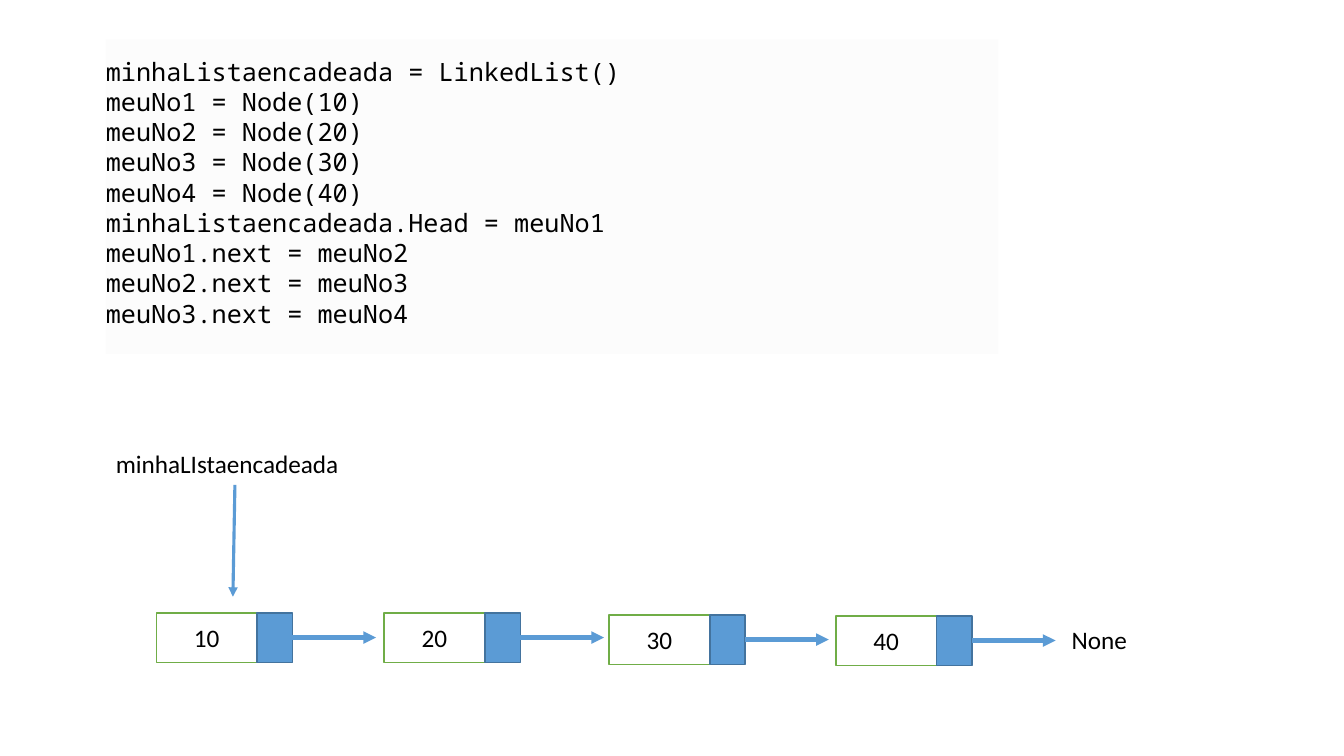
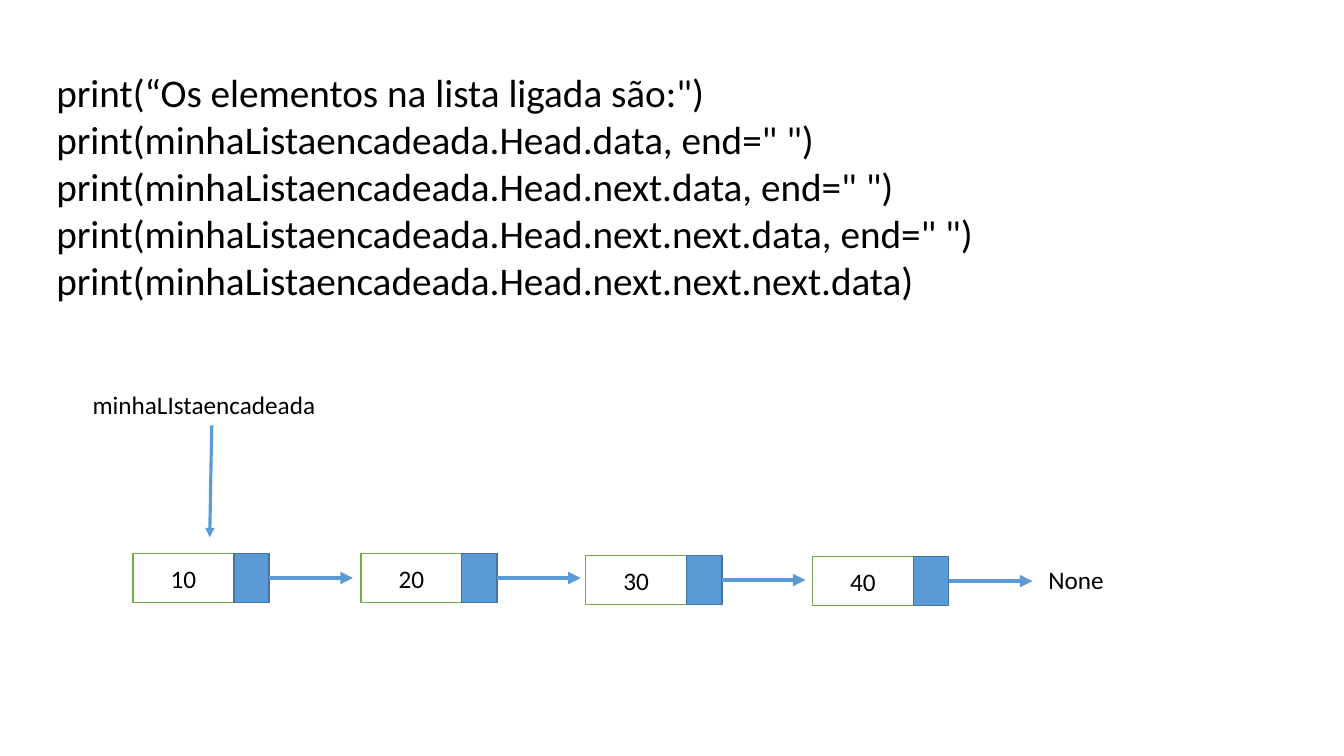
from dataclasses import dataclass

from lxml import etree
from pptx import Presentation
from pptx.dml.color import RGBColor
from pptx.enum import shapes, text
from pptx.oxml import ns
from pptx.util import Inches, Pt

BLACK = RGBColor(0x00, 0x00, 0x00)
WHITE = RGBColor(0xFF, 0xFF, 0xFF)
PALE = RGBColor(0xFC, 0xFC, 0xFC)
BLUE = RGBColor(0x5B, 0x9B, 0xD5)
NAVY = RGBColor(0x43, 0x73, 0x9E)
GREEN = RGBColor(0x70, 0xAD, 0x47)

SANS = "Calibri"
MONO = "Noto Sans Mono"

CELL_W, LINK_W, NODE_H = 1.0, 0.35, 0.49
ARROW_W = 0.83

SETUP = """minhaListaencadeada = LinkedList()
meuNo1 = Node(10)
meuNo2 = Node(20)
meuNo3 = Node(30)
meuNo4 = Node(40)
minhaListaencadeada.Head = meuNo1
meuNo1.next = meuNo2
meuNo2.next = meuNo3
meuNo3.next = meuNo4"""

PRINTS = """print(“Os elementos na lista ligada são:")
print(minhaListaencadeada.Head.data, end=" ")
print(minhaListaencadeada.Head.next.data, end=" ")
print(minhaListaencadeada.Head.next.next.data, end=" ")
print(minhaListaencadeada.Head.next.next.next.data)"""


@dataclass(frozen=True)
class Node:
    """A list node, placed relative to the first one."""
    value: str
    dx: float
    dy: float


NODES = (
    Node("10", 0, 0),
    Node("20", 2.26, 0),
    Node("30", 4.49, 0.02),
    Node("40", 6.74, 0.03),
)


def write(frame, words: str, size: float = 18, font: str = SANS) -> None:
    frame.word_wrap = True
    frame.text = words
    for para in frame.paragraphs:
        for run in para.runs:
            run.font.size = Pt(size)
            run.font.name = font
            run.font.color.rgb = BLACK


def label(slide, x: float, y: float, w: float, h: float,
          words: str, size: float = 18) -> None:
    box = slide.shapes.add_textbox(Inches(x), Inches(y), Inches(w), Inches(h))
    write(box.text_frame, words, size)


def block(parent, x: float, y: float, w: float, h: float,
          fill: RGBColor, edge: RGBColor | None = None):
    box = parent.shapes.add_shape(shapes.MSO_SHAPE.RECTANGLE, Inches(x),
                                  Inches(y), Inches(w), Inches(h))
    box.shadow.inherit = False
    box.fill.solid()
    box.fill.fore_color.rgb = fill
    if edge is None:
        box.line.fill.background()
    else:
        box.line.color.rgb = edge
        box.line.width = Pt(1)
    return box


def arrow(parent, x1: float, y1: float, x2: float, y2: float,
          width: float) -> None:
    line = parent.shapes.add_connector(
        shapes.MSO_CONNECTOR.STRAIGHT,
        Inches(x1), Inches(y1), Inches(x2), Inches(y2))
    line.line.color.rgb = BLUE
    line.line.width = Pt(width)
    # Arrowhead, and no shadow
    etree.SubElement(line.line._get_or_add_ln(), ns.qn("a:tailEnd"),
                     type="triangle")
    etree.SubElement(line._element.spPr, ns.qn("a:effectLst"))


def draw_node(slide, node: Node, left: float, top: float) -> None:
    group = slide.shapes.add_group_shape()
    x, y = left + node.dx, top + node.dy
    link = x + CELL_W
    end = link + LINK_W
    mid = y + NODE_H / 2
    cell = block(group, x, y, CELL_W, NODE_H, WHITE, GREEN)
    write(cell.text_frame, node.value)
    cell.text_frame.vertical_anchor = text.MSO_ANCHOR.MIDDLE
    cell.text_frame.paragraphs[0].alignment = text.PP_ALIGN.CENTER
    block(group, link, y, LINK_W, NODE_H, BLUE, NAVY)
    arrow(group, end, mid, end + ARROW_W, mid, 3)


def draw_list(slide, left: float, top: float) -> None:
    """Draw the linked list with its first node at left, top."""
    for node in NODES:
        draw_node(slide, node, left, top)
    label(slide, left + 8.98, top + 0.06, 1.01, 0.41, "None")
    label(slide, left - 0.5, top - 1.68, 2.56, 0.4, "minhaLIstaencadeada")
    arrow(slide, left + 0.78, top - 1.27, left + 0.76, top - 0.16, 2.25)


def draw_code(slide) -> None:
    panel = block(slide, 1.05, 0.39, 8.85, 3.12, PALE)
    frame = panel.text_frame
    write(frame, SETUP, 18, MONO)
    frame.vertical_anchor = text.MSO_ANCHOR.MIDDLE
    frame.margin_left = frame.margin_right = 0
    frame.margin_top, frame.margin_bottom = Inches(0.15), Inches(0.24)
    for para in frame.paragraphs:
        para.alignment = text.PP_ALIGN.LEFT


def main() -> None:
    deck = Presentation()
    deck.slide_width, deck.slide_height = Inches(13.33), Inches(7.5)
    blank = deck.slide_layouts[6]

    # Building the list
    build = deck.slides.add_slide(blank)
    draw_list(build, 1.55, 6.08)
    draw_code(build)

    # Printing the list
    show = deck.slides.add_slide(blank)
    label(show, 0.46, 0.63, 9.88, 2.46, PRINTS, 28)
    draw_list(show, 1.32, 5.49)

    deck.save("out.pptx")


if __name__ == "__main__":
    main()
